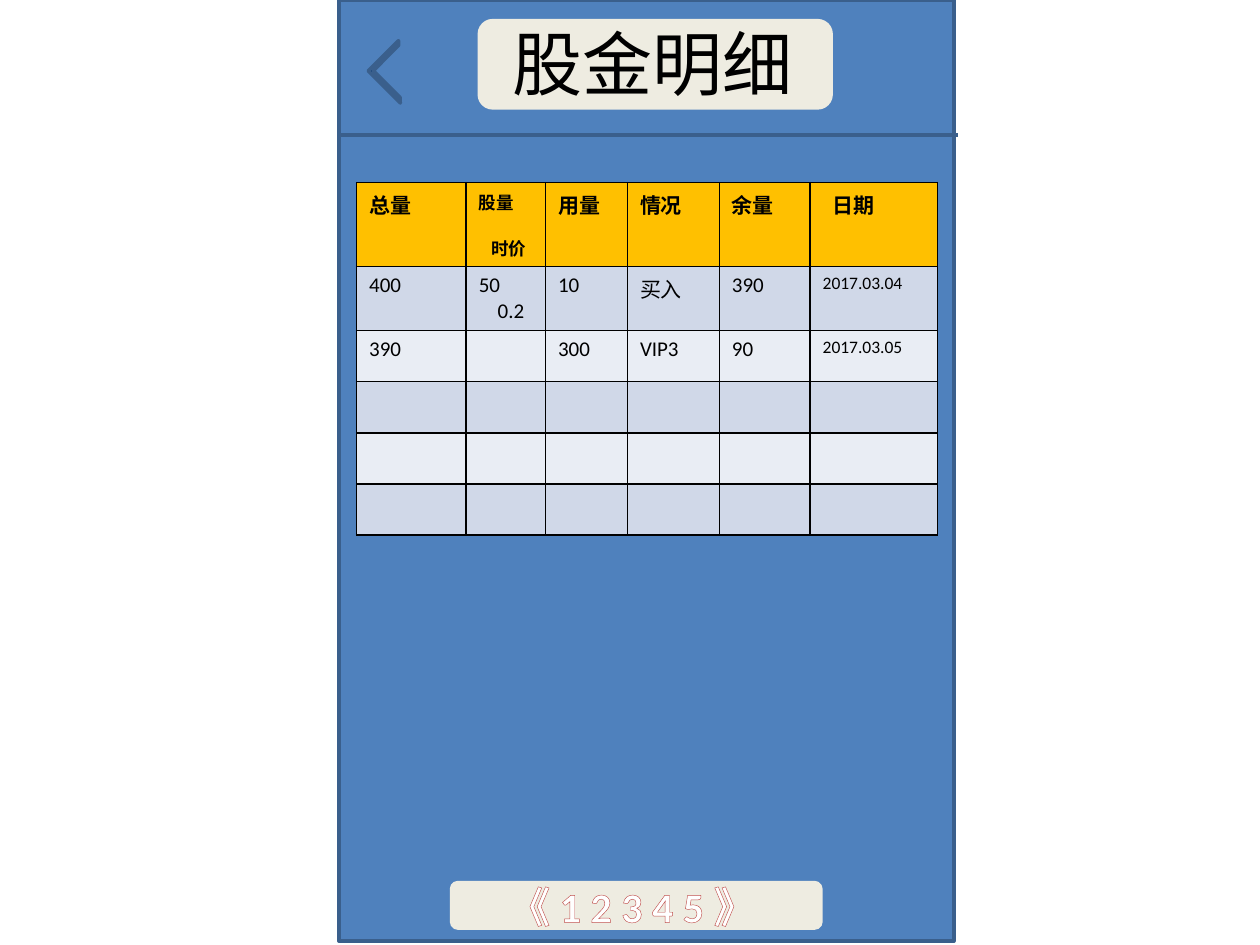
from dataclasses import dataclass

from lxml.etree import SubElement
from pptx import Presentation
from pptx.dml.color import RGBColor
from pptx.enum.shapes import MSO_CONNECTOR, MSO_SHAPE
from pptx.enum.text import MSO_ANCHOR, PP_ALIGN
from pptx.oxml import parse_xml
from pptx.oxml.ns import nsdecls, qn
from pptx.util import Inches, Pt


@dataclass(frozen=True)
class Theme:
    font: str = "Calibri"
    panel: str = "4F81BD"
    edge: str = "3A5F8C"
    arrow: str = "1F497D"
    pill: str = "EEECE1"
    header: str = "FFC000"
    odd_row: str = "D0D8E8"
    even_row: str = "E9EDF4"
    black: str = "000000"
    white: str = "FFFFFF"
    outline: str = "C0504D"
    title_size: int = 40
    pager_size: int = 24
    cell_size: int = 12
    small_size: int = 10


theme = Theme()


def write_text(paragraph, text, size, color=theme.black, bold=False,
               align=PP_ALIGN.LEFT, indent=0, space_before=0):
    """Add one formatted run; indent is in inches, space_before in points."""
    paragraph.alignment = align
    paragraph.space_before = Pt(space_before)
    if indent:
        properties = paragraph._p.get_or_add_pPr()
        properties.set("marL", str(Inches(indent)))
        properties.set("indent", "0")
    run = paragraph.add_run()
    run.text = text
    run.font.name = theme.font
    run.font.size = Pt(size)
    run.font.bold = bold
    run.font.color.rgb = RGBColor.from_string(color)
    return run


def add_block(kind, left, top, width, height, fill, line=None):
    shape = slide.shapes.add_shape(
        kind, Inches(left), Inches(top), Inches(width), Inches(height))
    shape.shadow.inherit = False
    shape.fill.solid()
    shape.fill.fore_color.rgb = RGBColor.from_string(fill)
    if line:
        shape.line.color.rgb = RGBColor.from_string(line)
        shape.line.width = Pt(2)
    else:
        shape.line.fill.background()
    return shape


presentation = Presentation()
presentation.slide_width = Inches(10)
presentation.slide_height = Inches(7.5)
slide = presentation.slides.add_slide(presentation.slide_layouts[5])

# Phone screen and title pill
add_block(MSO_SHAPE.RECTANGLE, 2.69, 0, 4.88, 7.47, theme.panel, theme.edge)
add_block(MSO_SHAPE.ROUNDED_RECTANGLE, 3.79, 0.15, 2.82, 0.72, theme.pill)

# Title, raised above the pill
title = slide.shapes.title
title.element.getparent().append(title.element)
title.left, title.top = Inches(3.95), Inches(0.11)
title.width, title.height = Inches(2.58), Inches(0.77)
title.text_frame.word_wrap = False
title.text_frame.vertical_anchor = MSO_ANCHOR.TOP
write_text(title.text_frame.paragraphs[0], "股金明细 ", theme.title_size,
           align=PP_ALIGN.CENTER)

# Line under the title bar
divider = slide.shapes.add_connector(
    MSO_CONNECTOR.STRAIGHT, Inches(2.7), Inches(1.07), Inches(7.6), Inches(1.07))
divider.line.color.rgb = RGBColor.from_string(theme.edge)
divider.line.width = Pt(2.25)
SubElement(divider._element.spPr, qn("a:effectLst"))

# Share table: a cell is a text or a list of lines
rows = [
    ["总量", ["股量", "时价"], "用量", "情况", "余量", "日期"],
    ["400", ["50", "0.2"], "10", "买入", "390", "2017.03.04"],
    ["390", "", "300", "VIP3", "90", "2017.03.05"],
    [""] * 6,
    [""] * 6,
    [""] * 6,
]
column_widths = [0.87, 0.63, 0.65, 0.73, 0.72, 1.01]
row_heights = [0.6, 0.5, 0.4, 0.4, 0.4, 0.4]
small_cells = {(0, 1), (1, 5), (2, 5)}
line_indents = {(0, 1, 1): 0.1, (1, 1, 1): 0.15, (0, 5, 0): 0.08}

table = slide.shapes.add_table(
    len(rows), len(column_widths), Inches(2.83), Inches(1.45),
    Inches(sum(column_widths)), Inches(sum(row_heights))).table
for column, width in zip(table.columns, column_widths):
    column.width = Inches(width)

for row_index, (row, height) in enumerate(zip(rows, row_heights)):
    table.rows[row_index].height = Inches(height)
    is_header = row_index == 0
    band = theme.odd_row if row_index % 2 else theme.even_row
    for column_index, content in enumerate(row):
        cell = table.cell(row_index, column_index)
        # Borders come before the fill in the cell properties
        for side in ("lnL", "lnR", "lnT", "lnB"):
            cell._tc.get_or_add_tcPr().append(parse_xml(
                f'<a:{side} {nsdecls("a")} w="{Pt(1)}"><a:solidFill>'
                f'<a:srgbClr val="{theme.black}"/></a:solidFill></a:{side}>'))
        cell.fill.solid()
        cell.fill.fore_color.rgb = RGBColor.from_string(
            theme.header if is_header else band)
        if not content:
            continue
        is_small = (row_index, column_index) in small_cells
        lines = content if isinstance(content, list) else [content]
        for line_index, text in enumerate(lines):
            frame = cell.text_frame
            paragraph = frame.add_paragraph() if line_index else frame.paragraphs[0]
            write_text(
                paragraph, text,
                theme.small_size if is_small else theme.cell_size,
                bold=is_header,
                indent=line_indents.get((row_index, column_index, line_index), 0),
                space_before=12 if is_header and line_index else 0)

# Back arrow
back_arrow = add_block(MSO_SHAPE.HALF_FRAME, 3, 0.39, 0.34, 0.36,
                       theme.arrow, theme.edge)
back_arrow.rotation = 315
back_arrow.adjustments[0] = 0.08
back_arrow.adjustments[1] = 0.09

# Pager with outlined digits
add_block(MSO_SHAPE.ROUNDED_RECTANGLE, 3.57, 6.99, 2.96, 0.39, theme.pill)
pager = slide.shapes.add_textbox(Inches(3.49), Inches(6.94), Inches(3.05), Inches(0.5))
pager.text_frame.word_wrap = True
pager_run = write_text(pager.text_frame.paragraphs[0], "《 1 2 3 4 5 》",
                       theme.pager_size, color=theme.white, bold=True,
                       align=PP_ALIGN.CENTER)
pager_run._r.get_or_add_rPr().insert(0, parse_xml(
    f'<a:ln {nsdecls("a")} w="{Pt(0.52)}"><a:solidFill>'
    f'<a:srgbClr val="{theme.outline}"/></a:solidFill></a:ln>'))

presentation.save("out.pptx")
